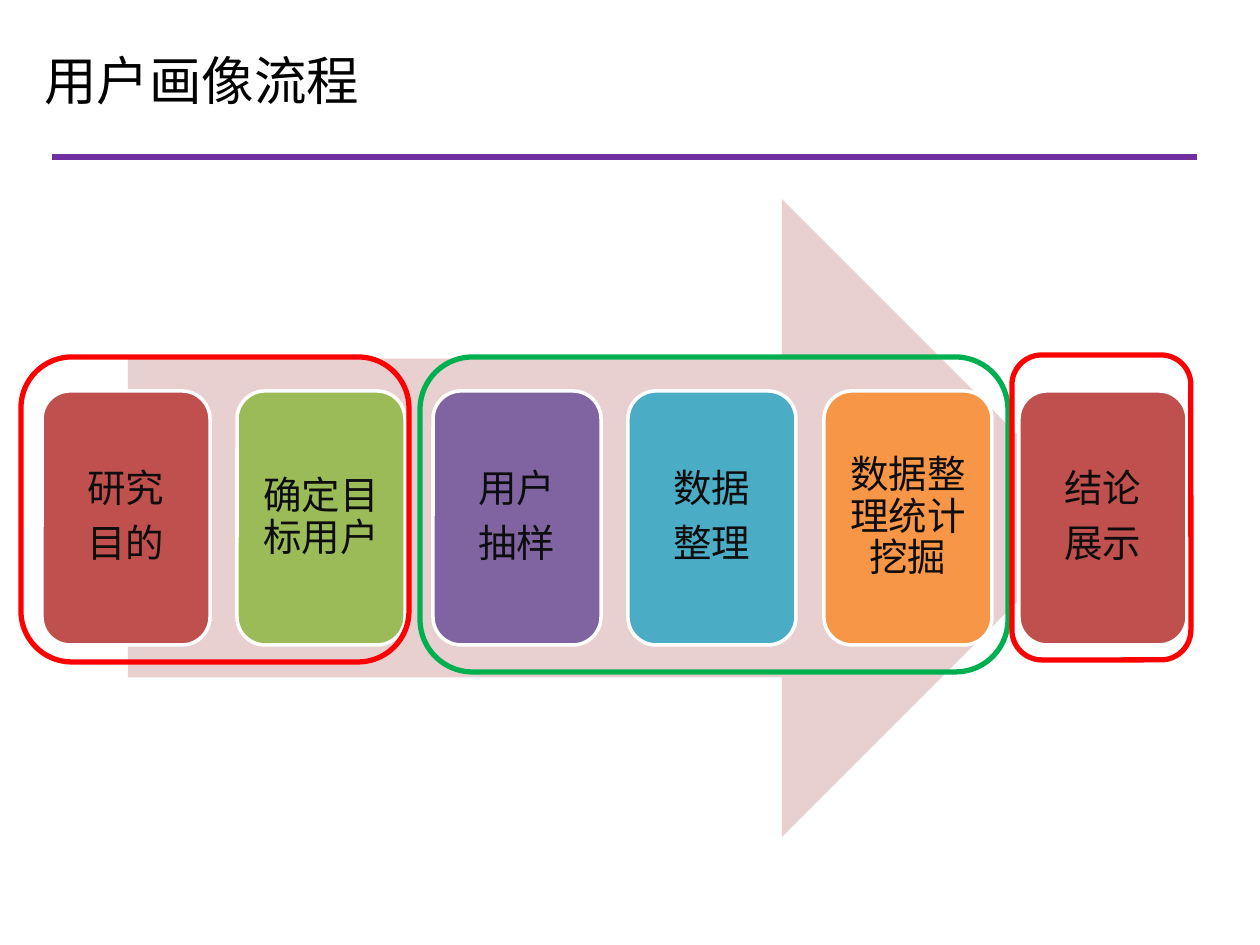
from pptx import Presentation, util as u
from pptx.dml.color import RGBColor
from pptx.enum import shapes, text
from pptx.oxml.ns import qn
from lxml import etree

PX = 914400 // 126
FONT = "Noto Sans CJK SC"
BLACK, INK = RGBColor(0, 0, 0), RGBColor(0x0D, 0x0D, 0x0D)
WHITE, PINK = RGBColor(255, 255, 255), RGBColor(0xE8, 0xD0, 0xD0)
BRICK, LIME = RGBColor(0xC0, 0x50, 0x4D), RGBColor(0x9B, 0xBB, 0x59)
PLUM, TEAL = RGBColor(0x80, 0x64, 0xA2), RGBColor(0x4B, 0xAC, 0xC6)
AMBER, VIOLET = RGBColor(0xF7, 0x96, 0x46), RGBColor(0x70, 0x30, 0xA0)
GREEN, RED = RGBColor(0, 0xB0, 0x50), RGBColor(255, 0, 0)

# Content
TITLE = "用户画像流程"
STEPS = [
    (["研究", "目的"], BRICK),
    (["确定目标用户"], LIME),
    (["用户", "抽样"], PLUM),
    (["数据", "整理"], TEAL),
    (["数据整理统计挖掘"], AMBER),
    (["结论", "展示"], BRICK),
]
FRAMES = [  # outline around each phase: box, colour
    ((420, 357, 588, 315), GREEN),
    ((21, 357, 388, 305), RED),
    ((1012, 355, 179, 305), RED),
]
FIRST, LAST, TOP, WIDE, HIGH = 42, 1019, 391, 168, 254
CARD = dict(space_after=u.Pt(7.7), line_spacing=0.9,
            alignment=text.PP_ALIGN.CENTER)
INSET = 11 * PX
FRAME = dict(margin_left=INSET, margin_right=INSET, margin_top=INSET,
             margin_bottom=INSET, word_wrap=True,
             vertical_anchor=text.MSO_ANCHOR.MIDDLE)


def put(obj, values):
    for name, value in values.items():
        setattr(obj, name, value)


def emu(box):
    return [v * PX for v in box]


def draw(kind, box, fill=None, line=None, width=0):
    shape = slide.shapes.add_shape(kind, *emu(box))
    shape.shadow.inherit = False
    if fill is None:
        shape.fill.background()
    else:
        shape.fill.solid()
        shape.fill.fore_color.rgb = fill
    if line is None:
        shape.line.fill.background()
    else:
        shape.line.color.rgb = line
        shape.line.width = u.Pt(width)
    return shape


def write(par, words, size, color):
    run = par.add_run()
    run.text = words
    put(run.font, dict(size=u.Pt(size), name=FONT))
    run.font.color.rgb = color
    etree.SubElement(run.font._element, qn("a:ea"), typeface=FONT)


deck = Presentation()
put(deck, dict(slide_width=1260 * PX, slide_height=945 * PX))
slide = deck.slides.add_slide(deck.slide_layouts[6])

# Title and rule
rule = slide.shapes.add_connector(shapes.MSO_CONNECTOR.STRAIGHT,
                                  *emu((52, 157, 1197, 157)))
rule.line.color.rgb = VIOLET
rule.line.width = u.Pt(3.75)
etree.SubElement(rule._element.spPr, qn("a:effectLst"))
title = slide.shapes.add_textbox(*emu((32, 42, 1134, 116))).text_frame
title.word_wrap = True
write(title.paragraphs[0], TITLE, 30, BLACK)

# Arrow behind the steps
draw(shapes.MSO_SHAPE.RIGHT_ARROW, (128, 199, 973, 638), PINK)

# Step cards at equal pitch
ROUND = shapes.MSO_SHAPE.ROUNDED_RECTANGLE
for i, (lines, color) in enumerate(STEPS):
    left = FIRST + round(i * (LAST - FIRST) / (len(STEPS) - 1))
    body = draw(ROUND, (left, TOP, WIDE, HIGH), color, WHITE, 2).text_frame
    put(body, FRAME)
    for j, words in enumerate(lines):
        par = body.add_paragraph() if j else body.paragraphs[0]
        put(par, CARD)
        write(par, words, 22, INK)

# Phase outlines
for box, color in FRAMES:
    draw(ROUND, box, line=color, width=3)

deck.save("out.pptx")
